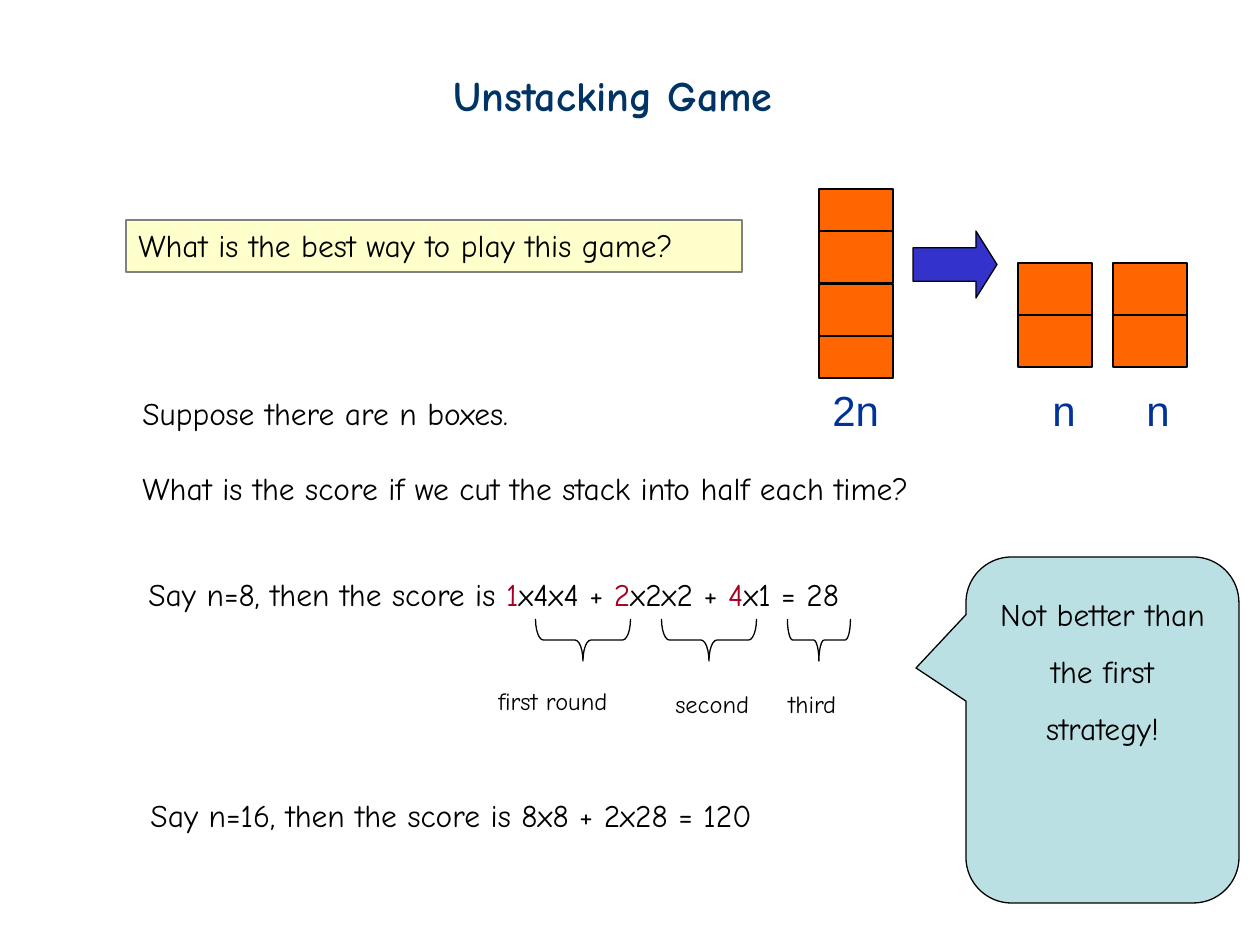
from pptx import Presentation
from pptx.dml.color import RGBColor
from pptx.enum.shapes import MSO_SHAPE
from pptx.enum.text import MSO_ANCHOR, PP_ALIGN
from pptx.util import Pt

RECT = MSO_SHAPE.RECTANGLE
ARROW = MSO_SHAPE.RIGHT_ARROW
BRACE = MSO_SHAPE.LEFT_BRACE
BUBBLE = MSO_SHAPE.ROUNDED_RECTANGULAR_CALLOUT
TOP = MSO_ANCHOR.TOP
LEFT, CENTER = PP_ALIGN.LEFT, PP_ALIGN.CENTER

PX = 914400 / 126
COLORS = {
    "black": "000000", "gray": "808080", "title": "003366", "label": "003399",
    "red": "A50021", "box": "FF6600", "arrow": "3333CC", "cream": "FFFFCC",
    "bubble": "BBE0E3",
}

deck = Presentation()
deck.slide_width, deck.slide_height = round(1260 * PX), round(945 * PX)
slide = deck.slides.add_slide(deck.slide_layouts[6])


def put_shape(kind, x, y, w, h, fill=None, line="black", adj=()):
    shape = slide.shapes.add_shape(kind, *(round(v * PX) for v in (x, y, w, h)))
    shape.shadow.inherit = False
    if fill:
        shape.fill.solid()
        shape.fill.fore_color.rgb = RGBColor.from_string(COLORS[fill])
    else:
        shape.fill.background()
    shape.line.color.rgb = RGBColor.from_string(COLORS[line])
    shape.line.width = Pt(0.75)
    for i, value in enumerate(adj):
        shape.adjustments[i] = value
    return shape


def put_text(text, at=None, host=None, size=18, color="black", font="Comic Neue",
             bold=False, align=LEFT, spacing=None, gap=0):
    """Text is one string, or a list of paragraphs, each a list of (words, color)."""
    if host is None:
        host = slide.shapes.add_textbox(*(round(v * PX) for v in at))
    frame = host.text_frame
    frame.word_wrap = True
    frame.vertical_anchor = TOP
    paras = [[(text, color)]] if isinstance(text, str) else text
    for i, parts in enumerate(paras):
        para = frame.add_paragraph() if i else frame.paragraphs[0]
        para.alignment = align
        if spacing:
            para.line_spacing = spacing
        if i:
            para.space_before = Pt(gap)
        for words, tint in parts:
            run = para.add_run()
            run.text = words
            run.font.name = font
            run.font.size = Pt(size)
            run.font.bold = bold
            run.font.color.rgb = RGBColor.from_string(COLORS[tint])


# Callout
bubble = put_shape(BUBBLE, 966, 557, 273, 346, "bubble", adj=(-0.683, -0.179, 0.167))
put_text("Not better than the first strategy!", host=bubble, align=CENTER, spacing=1.5)

# Title
put_text("Unstacking Game", (441, 63, 369, 63), size=24, color="title", bold=True)

# Stacks of boxes: one of 2n, split into two of n
for x, tops in ((819, (326, 189, 231, 284)), (1018, (263, 315)), (1113, (263, 315))):
    for y in tops:
        put_shape(RECT, x, y, 74, 52, "box")
for x, w, name in ((820, 72, "2n"), (1040, 50, "n"), (1134, 50, "n")):
    put_text(name, (x, 378, w, 63), size=24, color="label", font="Arial")
put_shape(ARROW, 913, 231, 84, 67, "arrow", adj=(0.5, 0.314))

# Question
query = put_shape(RECT, 126, 220, 616, 52, "cream", "gray")
put_text("What is the best way to play this game?", host=query)

# Setup
put_text([[("Suppose there are n boxes.", "black")],
          [("What is the score if we cut the stack into half each time?", "black")]],
         (130, 388, 881, 126), gap=21.4)

# Score for n=8
put_text([[("Say n=8, then the score is ", "black"), ("1", "red"),
           ("x4x4 + ", "black"), ("2", "red"), ("x2x2 + ", "black"),
           ("4", "red"), ("x1 = 28", "black")]], (136, 569, 796, 50))

# Braces, turned to open upward, centred on mid
for mid, span, bend in ((583, 95, 0.188), (709, 95, 0.188), (819, 63, 0.125)):
    brace = put_shape(BRACE, mid - 21, 640 - span / 2, 42, span, adj=(bend, 0.5))
    brace.rotation = 270
for x, y, w, name in ((486, 680, 152, "first round"), (663, 683, 103, "second"),
                      (776, 683, 84, "third")):
    put_text(name, (x, y, w, 42), size=14)

# Score for n=16
put_text("Say n=16, then the score is 8x8 + 2x28 = 120", (138, 790, 687, 50))

deck.save("out.pptx")
